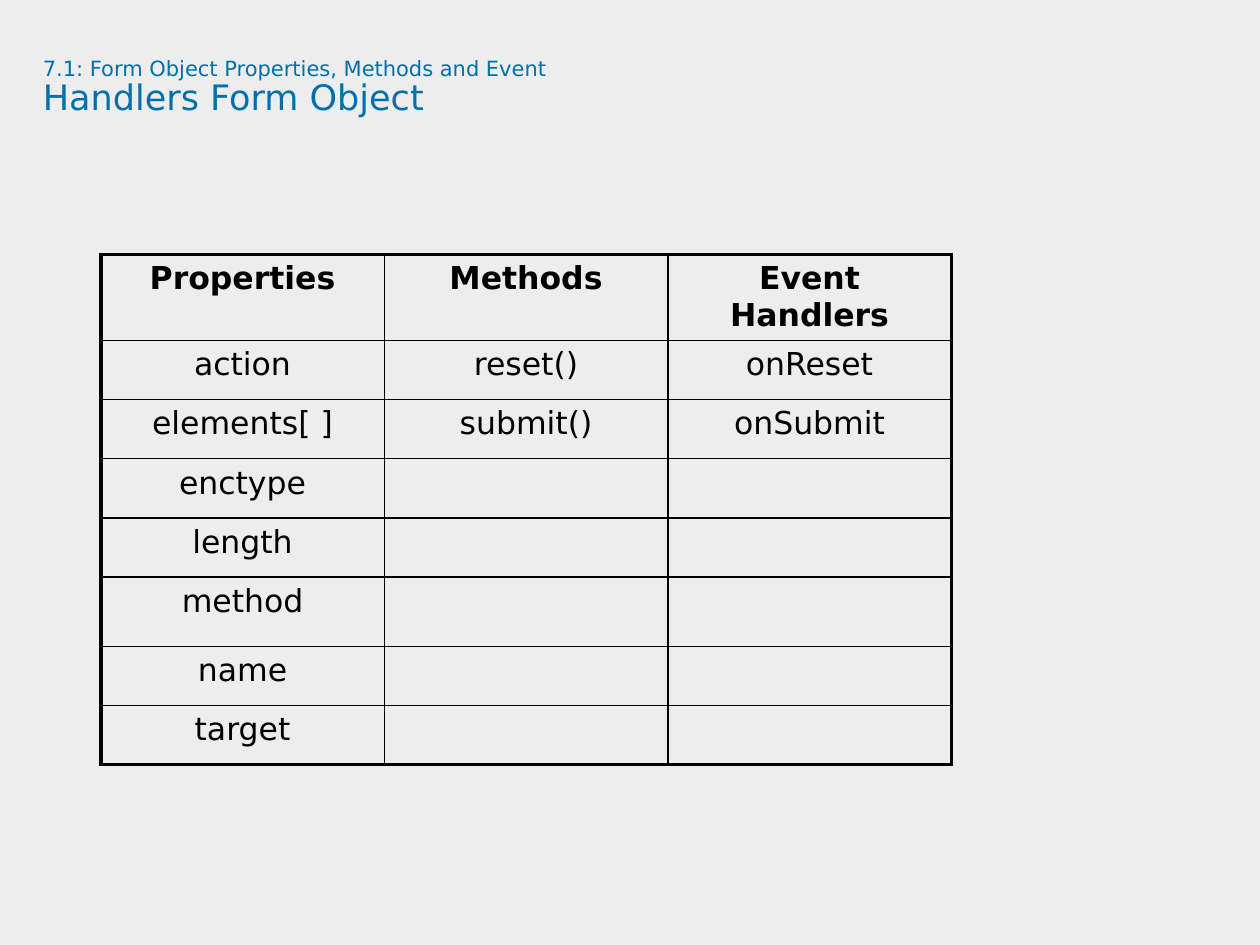
from typing import NamedTuple

from lxml import etree
from pptx import Presentation
from pptx.dml.color import RGBColor
from pptx.enum.text import PP_ALIGN
from pptx.oxml.ns import qn
from pptx.util import Inches, Pt

CENTER = PP_ALIGN.CENTER
FONT = "DejaVu Sans"
BACKGROUND, TITLE_COLOR, BLACK = "EDEDED", "0070AD", "000000"
THIN, THICK = 1, 2.25
COLUMN_WIDTH = 2.25


class TitleLine(NamedTuple):
    text: str
    size: float


class TableRow(NamedTuple):
    height: float
    texts: tuple[str, str, str]


TITLE_LINES = [
    TitleLine("7.1: Form Object Properties, Methods and Event", 12),
    TitleLine("Handlers Form Object", 20),
]
TABLE_ROWS = [
    TableRow(0.68, ("Properties", "Methods", "Event Handlers")),
    TableRow(0.47, ("action", "reset()", "onReset")),
    TableRow(0.47, ("elements[ ]", "submit()", "onSubmit")),
    TableRow(0.47, ("enctype", "", "")),
    TableRow(0.47, ("length", "", "")),
    TableRow(0.55, ("method", "", "")),
    TableRow(0.47, ("name", "", "")),
    TableRow(0.47, ("target", "", "")),
]


def color(value: str) -> RGBColor:
    return RGBColor.from_string(value)


def style_paragraph(paragraph, size: float, font_color: str, bold: bool = False) -> None:
    paragraph.font.name = FONT
    paragraph.font.size = Pt(size)
    paragraph.font.bold = bold
    paragraph.font.color.rgb = color(font_color)


def add_title(slide, lines: list[TitleLine]) -> None:
    box = slide.shapes.add_textbox(Inches(0.34), Inches(0.46), Inches(9.09), Inches(0.94))
    frame = box.text_frame
    frame.word_wrap = True
    frame.margin_left = frame.margin_top = frame.margin_right = frame.margin_bottom = 0
    frame.text = "\n".join(line.text for line in lines)
    for paragraph, line in zip(frame.paragraphs, lines):
        paragraph.line_spacing = 0.9
        style_paragraph(paragraph, line.size, TITLE_COLOR)


def set_borders(cell, widths: dict[str, float]) -> None:
    """Draw black borders; they must precede the fill in the cell properties."""
    properties = cell._tc.get_or_add_tcPr()
    for position, (side, width) in enumerate(widths.items()):
        line = etree.Element(qn(f"a:ln{side}"), w=str(Pt(width)))
        fill = etree.SubElement(line, qn("a:solidFill"))
        etree.SubElement(fill, qn("a:srgbClr"), val=BLACK)
        properties.insert(position, line)


def add_members_table(slide, rows: list[TableRow]) -> None:
    column_count = len(rows[0].texts)
    last_row, last_column = len(rows) - 1, column_count - 1
    table = slide.shapes.add_table(
        len(rows), column_count, Inches(0.8), Inches(2.02),
        Inches(COLUMN_WIDTH * column_count), Inches(sum(row.height for row in rows)),
    ).table
    table.first_row = table.horz_banding = False
    for column in table.columns:
        column.width = Inches(COLUMN_WIDTH)
    for r, row in enumerate(rows):
        table.rows[r].height = Inches(row.height)
        for c, text in enumerate(row.texts):
            cell = table.cell(r, c)
            cell.text = text
            cell.fill.background()
            paragraph = cell.text_frame.paragraphs[0]
            paragraph.alignment = CENTER
            style_paragraph(paragraph, 18, BLACK, bold=r == 0)
            set_borders(cell, {
                "L": THICK if c == 0 else THIN,
                "R": THICK if c == last_column else THIN,
                "T": THICK if r == 0 else THIN,
                "B": THICK if r == last_row else THIN,
            })


def main() -> None:
    presentation = Presentation()
    presentation.slide_width = Inches(10)
    presentation.slide_height = Inches(7.5)
    slide = presentation.slides.add_slide(presentation.slide_layouts[6])
    slide.background.fill.solid()
    slide.background.fill.fore_color.rgb = color(BACKGROUND)
    add_members_table(slide, TABLE_ROWS)
    add_title(slide, TITLE_LINES)
    presentation.save("out.pptx")


if __name__ == "__main__":
    main()
